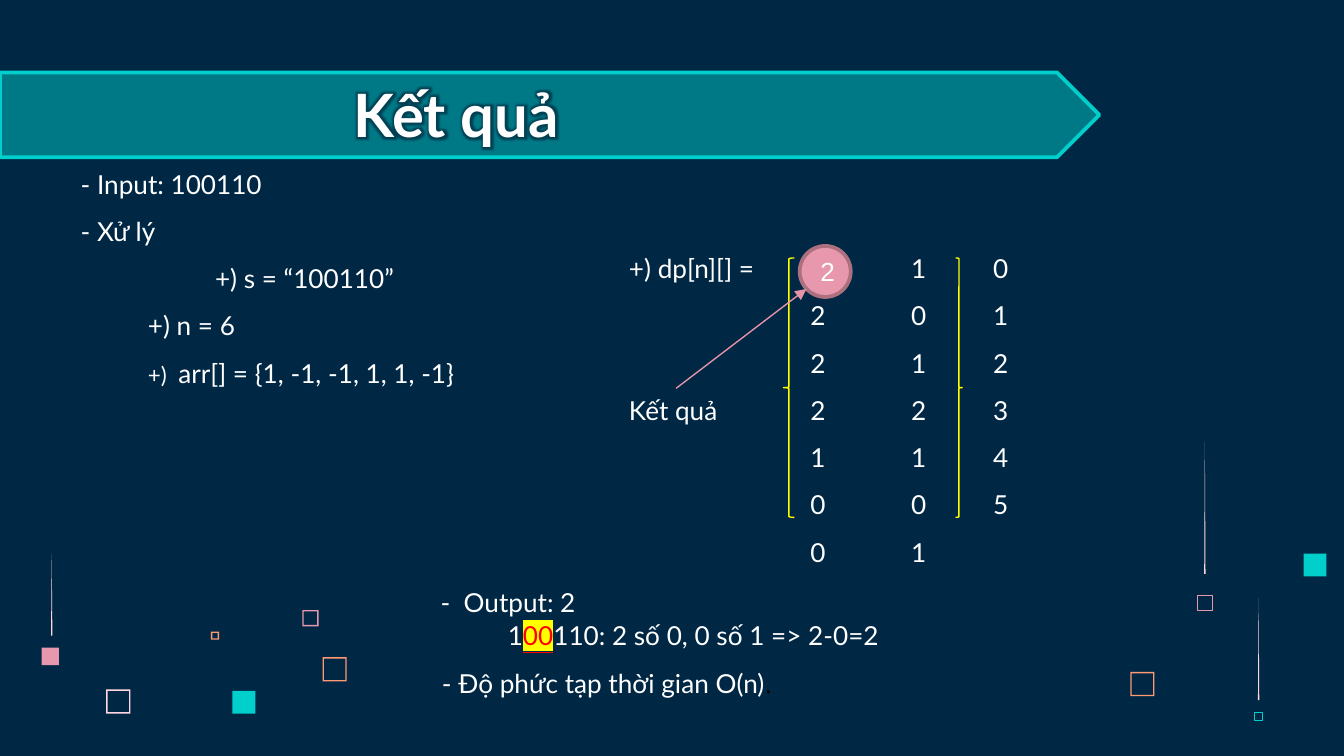
from lxml import etree
from pptx import Presentation
from pptx.dml.color import RGBColor
from pptx.enum.shapes import MSO_CONNECTOR, MSO_SHAPE
from pptx.enum.text import MSO_ANCHOR, MSO_AUTO_SIZE, PP_ALIGN
from pptx.oxml.ns import qn
from pptx.util import Inches, Pt

RECTANGLE, FRAME, TRIANGLE = MSO_SHAPE.RECTANGLE, MSO_SHAPE.FRAME, MSO_SHAPE.ISOSCELES_TRIANGLE
PENTAGON, OVAL = MSO_SHAPE.PENTAGON, MSO_SHAPE.OVAL
LEFT_BRACE, RIGHT_BRACE = MSO_SHAPE.LEFT_BRACE, MSO_SHAPE.RIGHT_BRACE
STRAIGHT = MSO_CONNECTOR.STRAIGHT
LEFT, CENTER, JUSTIFY = PP_ALIGN.LEFT, PP_ALIGN.CENTER, PP_ALIGN.JUSTIFY
TOP, MIDDLE, BOTTOM = MSO_ANCHOR.TOP, MSO_ANCHOR.MIDDLE, MSO_ANCHOR.BOTTOM
NO_AUTOFIT = MSO_AUTO_SIZE.NONE

COLORS = {
    "navy": "002845", "glow": "00283C", "teal": "00CFCC", "white": "FFFFFF", "black": "000000",
    "pink": "E898AC", "pale": "FFD6E1", "orange": "FF9973", "mauve": "AC707F",
    "arrow": "E593A7", "yellow": "FFFF00", "red": "FF0000",
}
DP_ROWS = [(1, 0), (2, 0, 1), (2, 1, 2), (2, 2, 3), (1, 1, 4), (0, 0, 5), (0, 1)]
ROW_LABELS = {0: "+) dp[n][] =\t", 3: "Kết quả\t"}
DP_TABS = (1.35, 2.1, 2.71)


def color(name):
    return RGBColor.from_string(COLORS[name])


def add_child(parent, tag, **attributes):
    return etree.SubElement(parent, qn(tag), attributes)


def add_shape(slide, kind, box, fill=None, line=None, width=1):
    shape = slide.shapes.add_shape(kind, *map(Inches, box))
    shape.shadow.inherit = False
    if fill:
        shape.fill.solid()
        shape.fill.fore_color.rgb = color(fill)
    else:
        shape.fill.background()
    if line:
        shape.line.color.rgb = color(line)
        shape.line.width = Pt(width)
    else:
        shape.line.fill.background()
    return shape


def place(shape, box, anchor=TOP):
    shape.left, shape.top, shape.width, shape.height = map(Inches, box)
    frame = shape.text_frame
    frame.word_wrap = True
    frame.auto_size = NO_AUTOFIT
    frame.vertical_anchor = anchor
    return frame


def add_text_box(slide, box):
    return place(slide.shapes.add_textbox(*map(Inches, box)), box)


def style(paragraph, size=14, font="Lato", bold=False):
    paragraph.font.size = Pt(size)
    paragraph.font.name = font
    paragraph.font.bold = bold
    paragraph.font.color.rgb = color("white")


def write_lines(frame, lines, align=JUSTIFY, before=0.1, after=8.4, spacing=1, tabs=()):
    for index, (indent, *texts) in enumerate(lines):
        paragraph = frame.add_paragraph() if index else frame.paragraphs[0]
        paragraph.alignment = align
        paragraph.line_spacing = spacing
        paragraph.space_before = Pt(before)
        paragraph.space_after = Pt(after)
        properties = paragraph._p.get_or_add_pPr()
        if indent:
            properties.set("marL", str(Inches(indent)))
            properties.set("indent", "0")
            add_child(properties, "a:buNone")
        if tabs:
            stops = add_child(properties, "a:tabLst")
            for tab in tabs:
                add_child(stops, "a:tab", pos=str(Inches(tab)), algn="l")
        style(paragraph)
        for text in texts:
            paragraph.add_run().text = text


def add_decorations(slide):
    for x, y, side, name in [(0.79, 5.13, 0.18, "pale"), (2.25, 4.54, 0.12, "pink"),
                             (1.57, 4.7, 0.06, "orange"), (2.4, 4.89, 0.18, "orange"),
                             (8.41, 5, 0.18, "orange")]:
        add_shape(slide, FRAME, (x, y, side, side), name).adjustments[0] = 0.01 / side
    for x, y, side, name in [(1.73, 5.14, 0.17, "teal"), (0.31, 4.82, 0.13, "pink"),
                             (9.7, 4.12, 0.17, "teal")]:
        add_shape(slide, RECTANGLE, (x, y, side, side), name)
    for x, y, side, name in [(8.91, 4.43, 0.11, "pink"), (9.33, 5.3, 0.06, "teal")]:
        add_shape(slide, RECTANGLE, (x, y, side, side), line=name, width=0.23)
    for x, y, height in [(8.96, 3.29, 0.98), (0.38, 4.12, 0.61), (9.36, 4.45, 0.76)]:
        add_shape(slide, TRIANGLE, (x, y, 0.01, height), "pale")


def add_banner(slide, left, top, width, height):
    banner = add_shape(slide, PENTAGON, (left, top, width, height), "teal", "teal", 2)
    fill_color = banner._element.spPr.find(qn("a:solidFill"))[0]
    add_child(fill_color, "a:alpha", val="49000")


def fill_title(title, box):
    frame = place(title, box, BOTTOM)
    frame.margin_left = frame.margin_right = frame.margin_top = frame.margin_bottom = Inches(0.1)
    paragraph = frame.paragraphs[0]
    paragraph.alignment = LEFT
    style(paragraph, 32, bold=True)
    run = paragraph.add_run()
    run.text = "Kết quả"
    effects = add_child(run._r.get_or_add_rPr(), "a:effectLst")
    glow = add_child(effects, "a:glow", rad=str(Pt(5)))
    glow_color = add_child(glow, "a:srgbClr", val=COLORS["glow"])
    add_child(glow_color, "a:alpha", val="70000")


def fill_input(body, box):
    frame = place(body, box)
    write_lines(frame, [
        (0.5, "- Input: 100110"),
        (0.5, "- Xử lý"),
        (1.5, "+) s = “100110”"),
        (1, "+) n = 6"),
        (1, "+)  ", "arr[] = {1, -1, -1, 1, 1, -1}"),
    ])
    frame.paragraphs[-1].runs[0].font.size = Pt(12)


def add_matrix(slide, left, top, width, height):
    frame = add_text_box(slide, (left, top, width, height))
    frame.margin_left = Inches(1.1)
    lines = [(0, ROW_LABELS.get(index, "\t") + "\t".join(map(str, row)))
             for index, row in enumerate(DP_ROWS)]
    lines[0] = (0, lines[0][1].replace("\t", "\t\t", 1))
    write_lines(frame, lines, align=LEFT, tabs=DP_TABS)

    for x, brace_width, kind in [(2.25, 0.08, LEFT_BRACE), (3.53, 0.05, RIGHT_BRACE)]:
        box = (left + x, top + 0.09, brace_width, 1.93)
        add_shape(slide, kind, box, line="yellow", width=0.75)

    circle = add_shape(slide, OVAL, (left + 2.37, top, 0.38, 0.38), "pink", "mauve", 2)
    circle.text_frame.vertical_anchor = MIDDLE
    paragraph = circle.text_frame.paragraphs[0]
    paragraph.alignment = CENTER
    style(paragraph, font="Arial")
    paragraph.add_run().text = "2"

    ends = (left + 1.45, top + 1.06, left + 2.42, top + 0.32)
    arrow = slide.shapes.add_connector(STRAIGHT, *map(Inches, ends))
    arrow.line.color.rgb = color("arrow")
    arrow.line.width = Pt(0.75)
    add_child(arrow.line._get_or_add_ln(), "a:tailEnd", type="triangle")
    add_child(arrow._element.spPr, "a:effectLst")


def add_output(slide, left, top):
    result = add_text_box(slide, (left, top, 5, 0.9))
    write_lines(result, [
        (0.5, "-  Output: 2"),
        (1, "1", "00", "110: 2 số 0, 0 số 1 => 2-0=2"),
    ], align=LEFT, before=0, after=0, spacing=1.06)
    zeros = result.paragraphs[1].runs[1]
    zeros.font.color.rgb = color("red")
    zeros.font.underline = True
    highlight = add_child(zeros._r.get_or_add_rPr(), "a:highlight")
    add_child(highlight, "a:srgbClr", val=COLORS["yellow"])

    complexity = add_text_box(slide, (left - 0.49, top + 0.6, 4.13, 0.35))
    write_lines(complexity, [(1, "- Độ phức tạp thời gian O(n)", ".")],
                align=LEFT, before=0, after=8, spacing=1.06)
    period = complexity.paragraphs[0].runs[1]
    period.font.name = "Times New Roman"
    period.font.color.rgb = color("black")


def main():
    presentation = Presentation()
    presentation.slide_width, presentation.slide_height = Inches(10), Inches(5.625)
    layout = presentation.slide_layouts.get_by_name("Title and Content")
    slide = presentation.slides.add_slide(layout)
    slide.background.fill.solid()
    slide.background.fill.fore_color.rgb = color("navy")
    title, input_body = slide.placeholders

    add_decorations(slide)
    add_banner(slide, 0, 0.54, 8.18, 0.63)
    for placeholder in (title, input_body):
        slide.shapes._spTree.append(placeholder._element)
    fill_title(title, (2.53, 0.54, 3.12, 0.67))
    fill_input(input_body, (0, 1.2, 4.34, 2.56))
    add_matrix(slide, 3.58, 1.83, 4.6, 2.42)
    add_output(slide, 2.68, 4.3)
    presentation.save("out.pptx")


if __name__ == "__main__":
    main()
